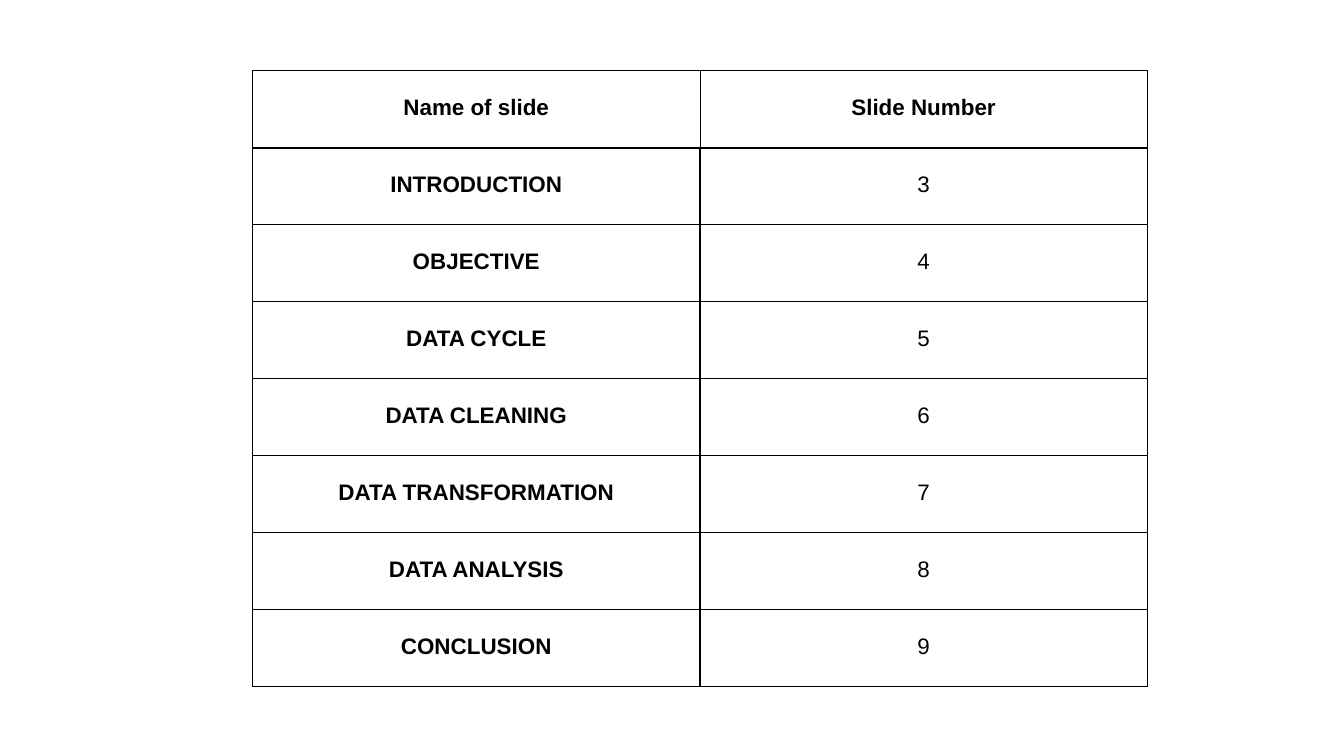
from lxml import etree
from pptx import Presentation
from pptx.dml.color import RGBColor
from pptx.enum import text
from pptx.oxml.ns import qn
from pptx.util import Cm, Pt

HEADER = ("Name of slide", "Slide Number")
CONTENTS = [
    ("INTRODUCTION", 3),
    ("OBJECTIVE", 4),
    ("DATA CYCLE", 5),
    ("DATA CLEANING", 6),
    ("DATA TRANSFORMATION", 7),
    ("DATA ANALYSIS", 8),
    ("CONCLUSION", 9),
]
COLORS = {"ink": "000000"}
LEFT, TOP = Cm(12.73), Cm(3.56)
COLUMN_WIDTH, ROW_HEIGHT = Cm(22.55), Cm(3.88)
MARGIN = Cm(0.15)
THIN, THICK = Pt(1), Pt(3)


def set_borders(cell, left=THIN, right=THIN, top=THIN, bottom=THIN):
    properties = cell._tc.get_or_add_tcPr()
    sides = {"lnL": left, "lnR": right, "lnT": top, "lnB": bottom}
    for position, (tag, width) in enumerate(sides.items()):
        line = etree.Element(qn(f"a:{tag}"), w=str(int(width)))
        fill = etree.SubElement(line, qn("a:solidFill"))
        etree.SubElement(fill, qn("a:srgbClr"), val=COLORS["ink"])
        properties.insert(position, line)


def fill_cell(cell, content, bold):
    cell.fill.background()
    cell.vertical_anchor = text.MSO_ANCHOR.MIDDLE
    cell.margin_left = cell.margin_right = MARGIN
    cell.margin_top = cell.margin_bottom = MARGIN
    cell.text = str(content)
    paragraph = cell.text_frame.paragraphs[0]
    paragraph.alignment = text.PP_ALIGN.CENTER
    paragraph.line_spacing = 0.9
    font = paragraph.font
    font.name, font.size, font.bold = "Arial", Pt(32), bold
    font.color.rgb = RGBColor.from_string(COLORS["ink"])


presentation = Presentation()
presentation.slide_width, presentation.slide_height = Cm(67.74), Cm(38.1)
slide = presentation.slides.add_slide(presentation.slide_layouts[6])

rows = [HEADER, *CONTENTS]
table = slide.shapes.add_table(
    len(rows), len(HEADER), LEFT, TOP,
    COLUMN_WIDTH * len(HEADER), ROW_HEIGHT * len(rows),
).table
table.first_row = table.horz_banding = False
for column in table.columns:
    column.width = COLUMN_WIDTH

for row_index, row in enumerate(rows):
    table.rows[row_index].height = ROW_HEIGHT
    is_header = row_index == 0
    for column_index, content in enumerate(row):
        is_name = column_index == 0
        cell = table.cell(row_index, column_index)
        fill_cell(cell, content, bold=is_header or is_name)
        set_borders(
            cell,
            right=THICK if is_name and not is_header else THIN,
            bottom=THICK if is_header else THIN,
        )

presentation.save("out.pptx")
